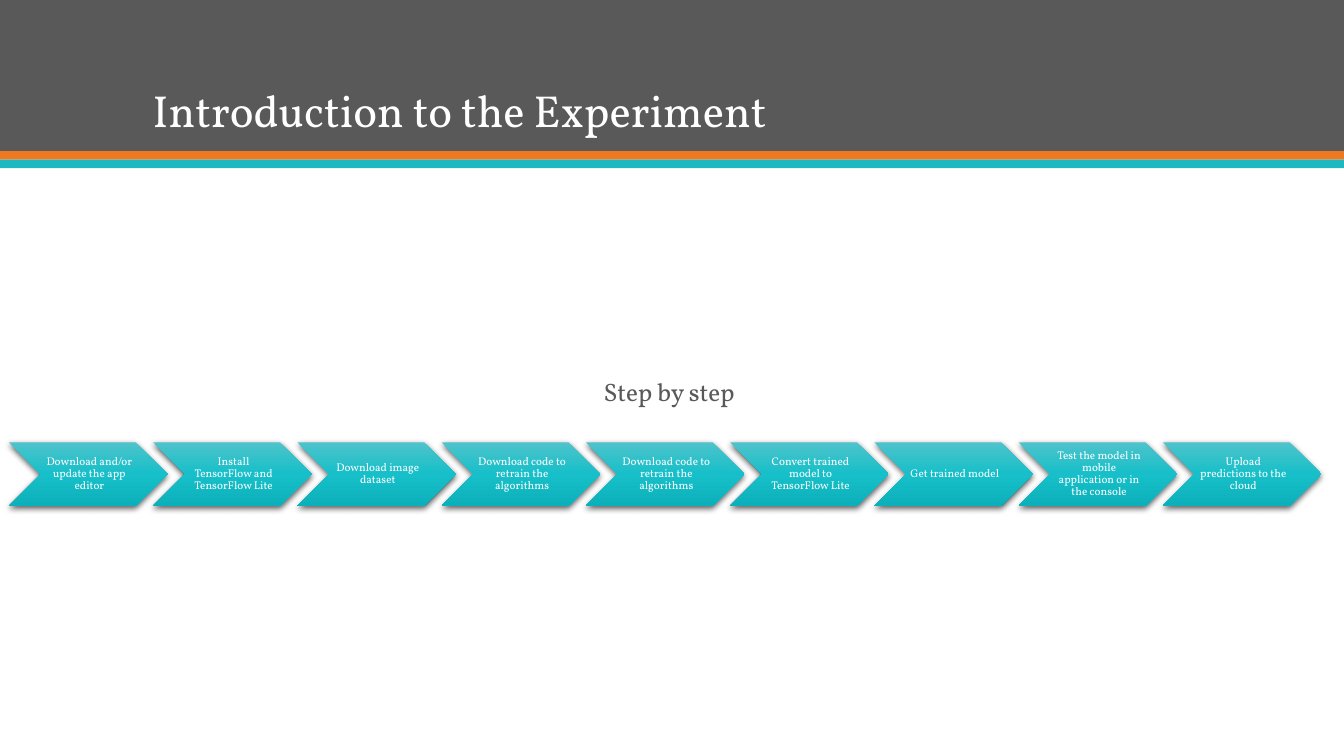
from pptx import Presentation
from pptx.dml.color import RGBColor
from pptx.enum.shapes import MSO_SHAPE
from pptx.enum.text import MSO_ANCHOR, PP_ALIGN
from pptx.oxml import parse_xml
from pptx.oxml.ns import nsdecls
from pptx.util import Pt

RECT, CHEVRON = MSO_SHAPE.RECTANGLE, MSO_SHAPE.CHEVRON
TOP, MIDDLE, BOTTOM = MSO_ANCHOR.TOP, MSO_ANCHOR.MIDDLE, MSO_ANCHOR.BOTTOM
LEFT, CENTER = PP_ALIGN.LEFT, PP_ALIGN.CENTER

FONT = "Vollkorn"
COLORS = {
    "grey": "595959", "orange": "EF7920", "teal": "1EB8C1", "white": "FFFFFF",
    "step_top": "4EC3CB", "step_mid": "16BFC9", "step_base": "0CB0BA",
    "shadow": "000000",
}
STEP_STOPS = [(0, "step_top"), (50, "step_mid"), (100, "step_base")]
STEPS = [
    "Download and/or update the app editor",
    "Install TensorFlow and TensorFlow Lite",
    "Download image dataset",
    "Download code to retrain the algorithms",
    "Download code to retrain the algorithms",
    "Convert trained model to TensorFlow Lite",
    "Get trained model",
    "Test the model in mobile application or in the console",
    "Upload predictions to the cloud",
]


def write(sp, text, size, color, frame, align=LEFT, line_spacing=1.0):
    """Fill a shape's text frame; frame holds text frame settings."""
    tf = sp.text_frame
    for name, value in frame.items():
        setattr(tf, name, value)
    p = tf.paragraphs[0]
    p.alignment, p.line_spacing = align, line_spacing
    r = p.add_run()
    r.text = text
    r.font.name, r.font.size = FONT, Pt(size)
    r.font.color.rgb = RGBColor.from_string(COLORS[color])


def add_band(slide, left, top, width, height, color):
    sp = slide.shapes.add_shape(RECT, Pt(left), Pt(top), Pt(width), Pt(height))
    sp.shadow.inherit = False
    sp.fill.solid()
    sp.fill.fore_color.rgb = RGBColor.from_string(COLORS[color])
    sp.line.fill.background()


def add_header(slide, left, top, width, height):
    stripe = 6.1
    add_band(slide, left, top, width, height, "grey")
    for i, color in enumerate(("orange", "teal")):
        add_band(slide, left, top + height + i * stripe, width, stripe, color)
    title = slide.shapes.add_textbox(Pt(left + 102), Pt(top + 20), Pt(756), Pt(81.5))
    frame = {"word_wrap": True, "vertical_anchor": BOTTOM}
    write(title, "Introduction to the Experiment", 32, "white", frame, line_spacing=0.9)


def style_step(sp):
    """Give a step its vertical gradient and soft shadow."""
    stops = "".join(
        f'<a:gs pos="{pos * 1000}"><a:srgbClr val="{COLORS[name]}"/></a:gs>'
        for pos, name in STEP_STOPS)
    props = sp._element.spPr
    props.append(parse_xml(
        f'<a:gradFill {nsdecls("a")} rotWithShape="1"><a:gsLst>{stops}</a:gsLst>'
        '<a:lin ang="5400000" scaled="0"/></a:gradFill>'))
    sp.line.fill.background()
    props.append(parse_xml(
        f'<a:effectLst {nsdecls("a")}><a:outerShdw blurRad="{Pt(4.5)}" dist="{Pt(1.5)}"'
        f' dir="5400000" algn="ctr" rotWithShape="0"><a:srgbClr val="{COLORS["shadow"]}">'
        '<a:alpha val="63000"/></a:srgbClr></a:outerShdw></a:effectLst>'))


def add_steps(slide, left, top, width, height):
    """Spread overlapping chevrons evenly over the given box."""
    step_width = 2.5 * height
    pitch = (width - step_width) / (len(STEPS) - 1)
    frame = {
        "word_wrap": True, "vertical_anchor": MIDDLE, "margin_left": Pt(2.5),
        "margin_top": Pt(0.8), "margin_right": Pt(0.8), "margin_bottom": Pt(0.8),
    }
    for i, text in enumerate(STEPS):
        sp = slide.shapes.add_shape(
            CHEVRON, Pt(left + i * pitch), Pt(top), Pt(step_width), Pt(height))
        style_step(sp)
        write(sp, text, 8, "white", frame, CENTER, 0.9)


def add_caption(slide, left, top, width, height):
    sp = slide.shapes.add_textbox(Pt(left), Pt(top), Pt(width), Pt(height))
    frame = {"word_wrap": False, "vertical_anchor": TOP}
    write(sp, "Step by step", 18, "grey", frame)


def main():
    prs = Presentation()
    prs.slide_width, prs.slide_height = Pt(960), Pt(540)
    slide = prs.slides.add_slide(prs.slide_layouts[6])
    add_header(slide, 0, 0, 960, 108)
    add_steps(slide, 6.4, 316, 937.5, 45.3)
    add_caption(slide, 424, 265, 112.5, 29)
    prs.save("out.pptx")


if __name__ == "__main__":
    main()
